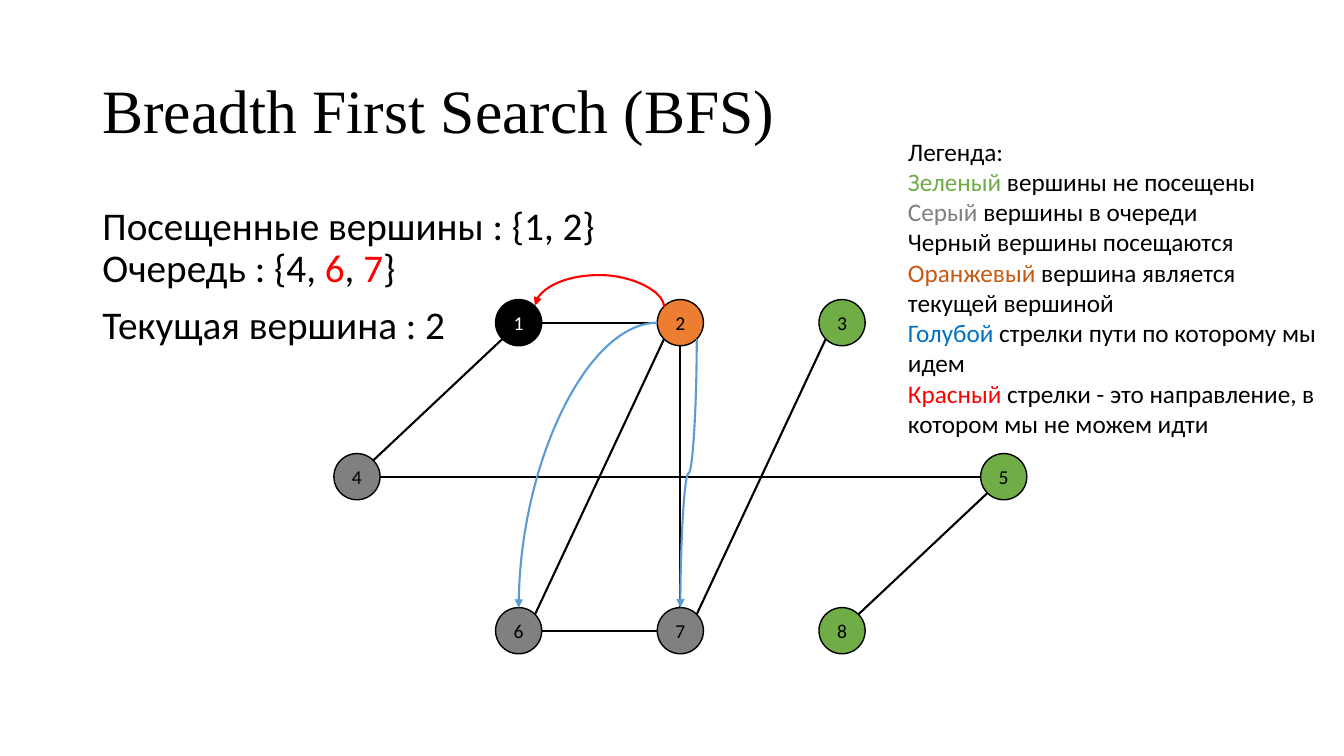
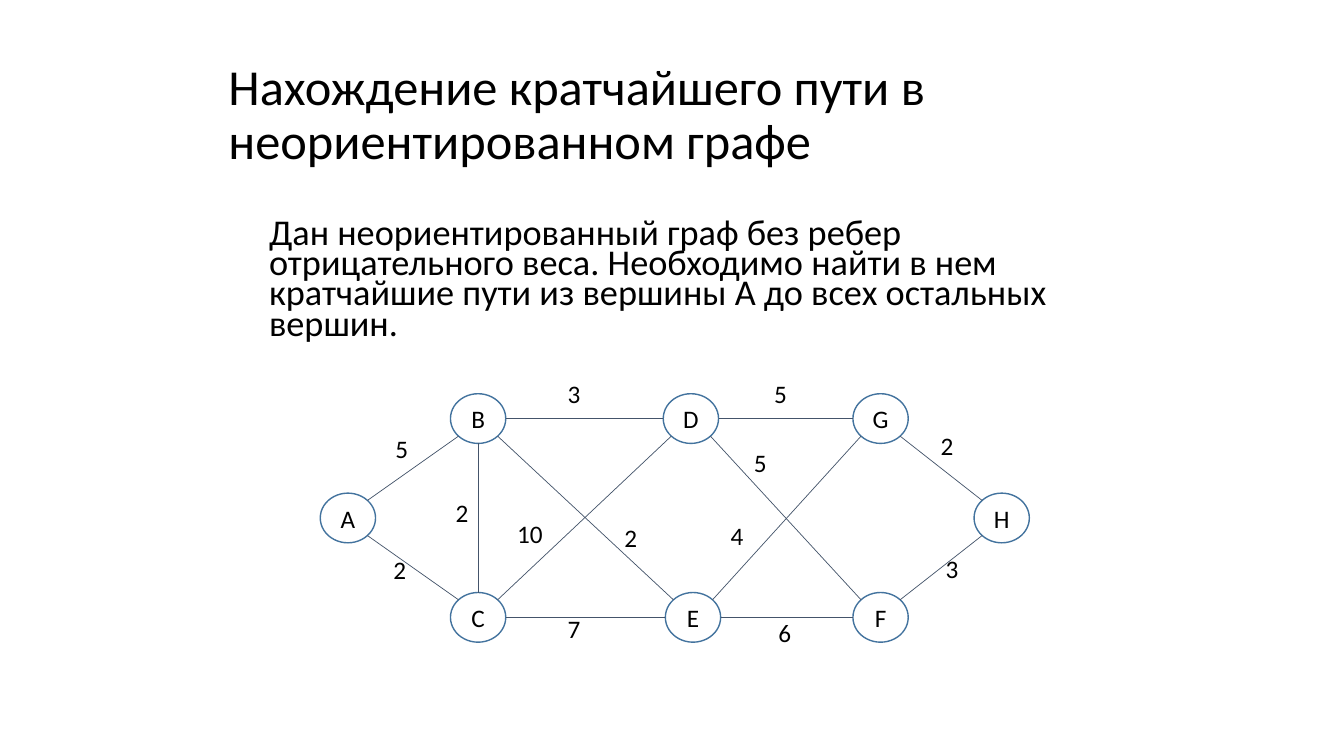
import math

import pptx
import pptx.dml.color
import pptx.enum.shapes
import pptx.enum.text
import pptx.oxml.ns
import pptx.util
from lxml import etree

Pt = pptx.util.Pt
RGBColor = pptx.dml.color.RGBColor
Align = pptx.enum.text.PP_ALIGN
Anchor = pptx.enum.text.MSO_ANCHOR
Connector = pptx.enum.shapes.MSO_CONNECTOR
qn = pptx.oxml.ns.qn

BLACK = RGBColor(0x00, 0x00, 0x00)
WHITE = RGBColor(0xFF, 0xFF, 0xFF)
RED = RGBColor(0xFF, 0x00, 0x00)
GREEN = RGBColor(0x70, 0xAD, 0x47)
GREY = RGBColor(0x80, 0x80, 0x80)
ORANGE = RGBColor(0xED, 0x7D, 0x31)
DARK_ORANGE = RGBColor(0xC5, 0x5A, 0x11)
BLUE = RGBColor(0x00, 0x70, 0xC0)
ARROW_BLUE = RGBColor(0x5B, 0x9B, 0xD5)
NODE_BLUE = RGBColor(0x43, 0x73, 0x9E)
EDGE_BLUE = RGBColor(0x44, 0x54, 0x6A)

TOP, TOP_LEFT, LEFT, BOTTOM_LEFT, BOTTOM, BOTTOM_RIGHT, RIGHT, TOP_RIGHT = range(8)

BFS_VERTICES = [
    ("1", 1, 0, BLACK), ("2", 2, 0, ORANGE), ("4", 0, 1, GREY), ("6", 1, 2, GREY),
    ("7", 2, 2, GREY), ("8", 3, 2, GREEN), ("5", 4, 1, GREEN), ("3", 3, 0, GREEN),
]
BFS_EDGES = ["41", "45", "12", "27", "26", "67", "73", "58"]
LEGEND = [
    ["Легенда:"],
    [("Зеленый ", GREEN), "вершины не посещены"],
    [("Серый ", GREY), "вершины в очереди"],
    ["Черный вершины посещаются"],
    [("Оранжевый ", DARK_ORANGE), "вершина является текущей вершиной"],
    [("Голубой ", BLUE), "стрелки пути по которому мы идем"],
    [("Красный ", RED), "стрелки - это направление, в котором мы не можем идти"],
]

PATH_VERTICES = [
    ("А", 248.5, 1), ("B", 341.5, 0), ("C", 341.5, 2), ("D", 493.5, 0),
    ("E", 495, 2), ("G", 629, 0), ("F", 629, 2), ("H", 715.5, 1),
]
PATH_EDGES = [
    ("B", "C", "2", 330, 366), ("А", "B", "5", 287, 320.5),
    ("А", "C", "2", 285.5, 407), ("C", "E", "7", 410, 449),
    ("E", "F", "6", 560.5, 452), ("B", "D", "3", 410, 281),
    ("D", "G", "5", 557.5, 281), ("H", "F", "3", 680, 406),
    ("H", "G", "2", 676.5, 318), ("C", "D", "10", 378.5, 381.5),
    ("D", "F", "5", 543, 330.5), ("E", "B", "2", 450.5, 384),
    ("E", "G", "4", 526.5, 382.5),
]


def write(frame, paragraphs, size=18, font="Calibri", color=BLACK, align=Align.LEFT,
          anchor=Anchor.TOP, wrap=True, line_spacing=None, space_before=0):
    frame.auto_size = pptx.enum.text.MSO_AUTO_SIZE.NONE
    frame.word_wrap = wrap
    frame.vertical_anchor = anchor
    for index, pieces in enumerate(paragraphs):
        paragraph = frame.add_paragraph() if index else frame.paragraphs[0]
        paragraph.alignment = align
        paragraph.space_before = Pt(space_before)
        paragraph.line_spacing = line_spacing
        for piece in pieces:
            text, piece_color = (piece, color) if isinstance(piece, str) else piece
            if text == "\n":
                paragraph.add_line_break()
                etree.SubElement(paragraph._p[-1], qn("a:rPr"), sz=str(round(size * 100)))
                continue
            run = paragraph.add_run()
            run.text = text
            run.font.size = Pt(size)
            run.font.name = font
            run.font.color.rgb = piece_color


def place(shape, left, top, width, height):
    shape.left, shape.top = Pt(left), Pt(top)
    shape.width, shape.height = Pt(width), Pt(height)


def add_title(slide, text, box, **text_format):
    place(slide.shapes.title, *box)
    write(slide.shapes.title.text_frame, [[text]], anchor=Anchor.MIDDLE,
          line_spacing=0.9, **text_format)


def add_body(slide, paragraphs, box, **text_format):
    body = slide.placeholders[1]
    place(body, *box)
    write(body.text_frame, paragraphs, space_before=10, **text_format)
    for paragraph in body.text_frame.paragraphs:
        properties = paragraph._p.get_or_add_pPr()
        properties.set("marL", "0")
        properties.set("indent", "0")
        etree.SubElement(properties, qn("a:buNone"))


def add_text(shapes, paragraphs, box, **text_format):
    text_box = shapes.add_textbox(*map(Pt, box))
    write(text_box.text_frame, paragraphs, **text_format)


def add_vertex(shapes, label, center, extent, line_color, fill=None, **text_format):
    (x, y), (width, height) = center, extent
    vertex = shapes.add_shape(pptx.enum.shapes.MSO_SHAPE.OVAL, Pt(x - width / 2),
                              Pt(y - height / 2), Pt(width), Pt(height))
    vertex.shadow.inherit = False
    if fill is None:
        vertex.fill.background()
    else:
        vertex.fill.solid()
        vertex.fill.fore_color.rgb = fill
    vertex.line.color.rgb = line_color
    vertex.line.width = Pt(1)
    frame = vertex.text_frame
    frame.margin_left = frame.margin_right = frame.margin_top = frame.margin_bottom = 0
    write(frame, [[label]], align=Align.CENTER, anchor=Anchor.MIDDLE, **text_format)
    return vertex


def center_of(vertex):
    return vertex.left.pt + vertex.width.pt / 2, vertex.top.pt + vertex.height.pt / 2


def site_point(vertex, site):
    x, y = center_of(vertex)
    angle = math.radians(90 + 45 * site)
    return (x + vertex.width.pt / 2 * math.cos(angle),
            y - vertex.height.pt / 2 * math.sin(angle))


def site_towards(vertex, other):
    (x, y), (other_x, other_y) = center_of(vertex), center_of(other)
    angle = math.degrees(math.atan2(y - other_y, other_x - x))
    return round((angle - 90) / 45) % 8


def add_link(shapes, kind, begin, end, ends, color, width):
    connector = shapes.add_connector(kind, *map(Pt, (*begin, *end)))
    connector.line.color.rgb = color
    connector.line.width = Pt(width)
    etree.SubElement(connector._element.spPr, qn("a:effectLst"))
    joints = connector._element.find(".//" + qn("p:cNvCxnSpPr"))
    for tag, (vertex, site) in zip(("a:stCxn", "a:endCxn"), ends):
        etree.SubElement(joints, qn(tag), id=str(vertex.shape_id), idx=str(site))
    return connector


def add_edge(shapes, start, finish, color, width):
    ends = [(start, site_towards(start, finish)), (finish, site_towards(finish, start))]
    begin, end = [site_point(*joint) for joint in ends]
    add_link(shapes, Connector.STRAIGHT, begin, end, ends, color, width)


def add_curved_arrow(shapes, start, finish, color, turn, flipped=False,
                     preset="curvedConnector3", bend=None):
    (x1, y1), (x2, y2) = site_point(*start), site_point(*finish)
    width, height = abs(x2 - x1), abs(y2 - y1)
    if turn % 180:
        width, height = max(height, 1), width
    left, top = (x1 + x2 - width) / 2, (y1 + y2 - height) / 2
    begin_y, end_y = (top + height, top) if flipped else (top, top + height)
    arrow = add_link(shapes, Connector.CURVE, (left, begin_y), (left + width, end_y),
                     [start, finish], color, 1.5)
    properties = arrow._element.spPr
    properties.find(qn("a:xfrm")).set("rot", str(turn * 60000))
    geometry = properties.find(qn("a:prstGeom"))
    geometry.set("prst", preset)
    if bend is not None:
        etree.SubElement(geometry.find(qn("a:avLst")), qn("a:gd"), name="adj1",
                         fmla=f"val {bend * 100000}")
    etree.SubElement(properties.find(qn("a:ln")), qn("a:tailEnd"), type="triangle")


def build_search_slide(slide):
    add_title(slide, "Breadth First Search (BFS)", (66, 29, 828, 104.4),
              size=44, font="Times New Roman")
    add_body(slide, [
        ["Посещенные вершины : {1, 2}", "\n", "Очередь : {4, ", ("6", RED), ", ", ("7", RED), "}"],
        ["Текущая вершина : 2"],
    ], (66, 144, 828, 342.7), size=28, line_spacing=0.9)

    shapes = slide.shapes
    vertices = {}
    for label, column, row, fill in BFS_VERTICES:
        center = 255 + 115.5 * column, 230.5 + 110 * row
        vertices[label] = add_vertex(shapes, label, center, (33, 33), BLACK, fill, size=14,
                                     color=WHITE if fill == BLACK else BLACK)
    for start, finish in BFS_EDGES:
        add_edge(shapes, vertices[start], vertices[finish], BLACK, 1.5)

    current = vertices["2"]
    add_curved_arrow(shapes, (current, TOP_LEFT), (vertices["1"], TOP_RIGHT), RED, 270,
                     flipped=True, bend=23)
    add_curved_arrow(shapes, (current, LEFT), (vertices["6"], TOP), ARROW_BLUE, 180,
                     flipped=True, preset="curvedConnector2")
    add_curved_arrow(shapes, (current, BOTTOM_RIGHT), (vertices["7"], TOP), ARROW_BLUE, 90)
    add_text(shapes, LEGEND, (641.5, 93.6, 307.5, 225.4))


def build_path_slide(slide):
    add_title(slide, "Нахождение кратчайшего пути в неориентированном графе",
              (156, 26.6, 648, 113), size=36)
    add_body(slide, [[
        "Дан неориентированный граф без ребер отрицательного веса. Необходимо найти в нем "
        "кратчайшие пути из вершины A до всех остальных вершин."
    ]], (185, 154, 618, 102), size=25.9, line_spacing=0.7)

    shapes = slide.shapes.add_group_shape().shapes
    vertices = {}
    for label, x, row in PATH_VERTICES:
        vertices[label] = add_vertex(shapes, label, (x, 299 + 71 * row), (39.5, 35.5), NODE_BLUE)
    for start, finish, weight, x, y in PATH_EDGES:
        add_edge(shapes, vertices[start], vertices[finish], EDGE_BLUE, 0.5)
        width = 14.5 + 9.25 * len(weight)
        add_text(shapes, [[weight]], (x - width / 2, y - 14.5, width, 29),
                 align=Align.CENTER, wrap=False)


def main():
    presentation = pptx.Presentation()
    presentation.slide_width, presentation.slide_height = Pt(960), Pt(540)
    for build in (build_search_slide, build_path_slide):
        build(presentation.slides.add_slide(presentation.slide_layouts[1]))
    presentation.save("out.pptx")


if __name__ == "__main__":
    main()
